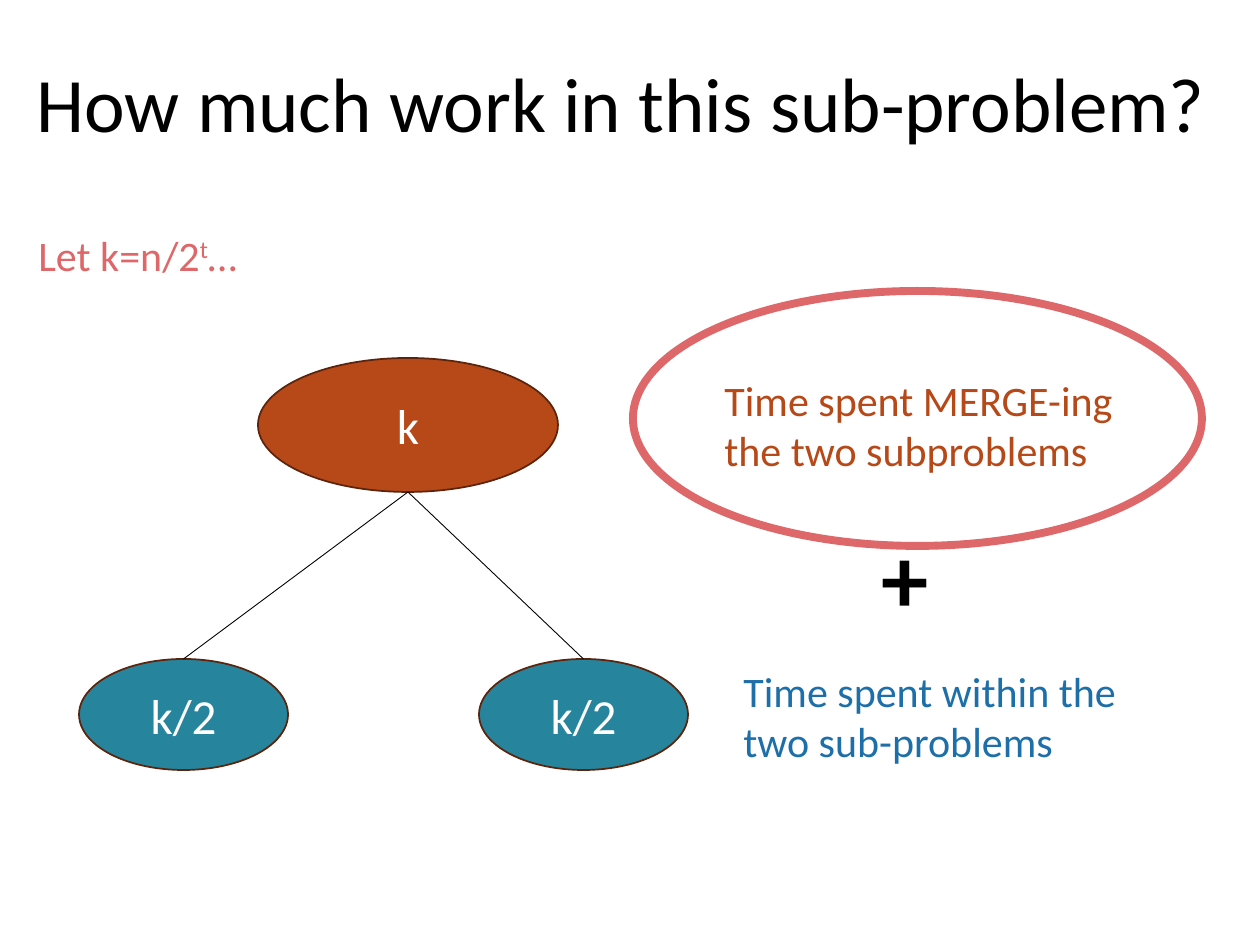
from lxml.etree import SubElement
from pptx import Presentation
from pptx.dml.color import RGBColor
from pptx.enum.shapes import MSO_CONNECTOR, MSO_SHAPE
from pptx.enum.text import MSO_ANCHOR, PP_ALIGN
from pptx.oxml.ns import qn
from pptx.util import Emu, Pt

BLACK = RGBColor(0x00, 0x00, 0x00)
WHITE = RGBColor(0xFF, 0xFF, 0xFF)
RUST = RGBColor(0xB7, 0x49, 0x19)
BROWN = RGBColor(0x5C, 0x24, 0x0C)
TEAL = RGBColor(0x26, 0x85, 0x9D)
BLUE = RGBColor(0x1D, 0x6F, 0xA9)
CORAL = RGBColor(0xDE, 0x67, 0x69)
FONT = "Calibri"


def px(n):
    return Emu(round(n * 914400 / 126))


def style_run(r, size, color, bold=False):
    r.font.name = FONT
    r.font.size = Pt(size)
    r.font.color.rgb = color
    r.font.bold = bold


def add_text(s, box, text, size, color, bold=False):
    sp = s.shapes.add_textbox(*map(px, box))
    tf = sp.text_frame
    tf.word_wrap = True
    tf.text = text
    style_run(tf.paragraphs[0].runs[0], size, color, bold)
    return tf


def add_ellipse(s, box, line, width, fill=None, text=""):
    sp = s.shapes.add_shape(MSO_SHAPE.OVAL, *map(px, box))
    sp.shadow.inherit = False
    sp.line.color.rgb = line
    sp.line.width = Pt(width)
    if fill is None:
        sp.fill.background()
    else:
        sp.fill.solid()
        sp.fill.fore_color.rgb = fill
    if text:
        tf = sp.text_frame
        tf.text = text
        tf.vertical_anchor = MSO_ANCHOR.MIDDLE
        p = tf.paragraphs[0]
        p.alignment = PP_ALIGN.CENTER
        style_run(p.runs[0], 28, WHITE)


def add_branch(s, x1, y1, x2, y2):
    line = s.shapes.add_connector(MSO_CONNECTOR.STRAIGHT, px(x1), px(y1), px(x2), px(y2))
    line.line.color.rgb = BLACK
    line.line.width = Pt(0.5)
    SubElement(line._element.spPr, qn("a:effectLst"))


def add_title(s, box):
    tf = add_text(s, box, "How much work in this sub-problem?", 44, BLACK)
    tf.vertical_anchor = MSO_ANCHOR.MIDDLE
    tf.paragraphs[0].line_spacing = 0.9


def add_definition(s, box):
    p = add_text(s, box, "Let k=n/2", 24, CORAL).paragraphs[0]
    for text in ("t", "…"):
        r = p.add_run()
        r.text = text
        style_run(r, 24, CORAL)
    p.runs[1].font._element.set("baseline", "30000")


def add_tree(s, box):
    x, y, w, h = box
    root_w, root_h, child_w, child_h = 300, 134, 209, 111
    root_x = x + 179
    child_y = y + h - child_h
    add_ellipse(s, (root_x, y, root_w, root_h), BROWN, 1, RUST, "k")
    for child_x in (x, x + w - child_w):
        add_ellipse(s, (child_x, child_y, child_w, child_h), BROWN, 1, TEAL, "k/2")
        add_branch(s, root_x + root_w / 2, y + root_h, child_x + child_w / 2, child_y)


def add_costs(s, box):
    x, y, w, h = box
    text_w, text_h = 444, 115
    add_ellipse(s, (x, y, w, 255), CORAL, 4.5)
    add_text(s, (x + 79, y + 77, text_w, text_h),
             "Time spent MERGE-ing the two subproblems", 24, RUST)
    add_text(s, (x + 236, y + 222, 126, 127), "+", 54, BLACK, True)
    add_text(s, (x + 98, y + h - text_h, text_w, text_h),
             "Time spent within the two sub-problems", 24, BLUE)


def main():
    prs = Presentation()
    prs.slide_width, prs.slide_height = px(1260), px(945)
    s = prs.slides.add_slide(prs.slide_layouts[6])
    add_title(s, (24, 16, 1236, 183))
    add_definition(s, (26, 223, 315, 63))
    add_tree(s, (79, 358, 609, 412))
    add_costs(s, (633, 291, 569, 483))
    prs.save("out.pptx")


if __name__ == "__main__":
    main()
